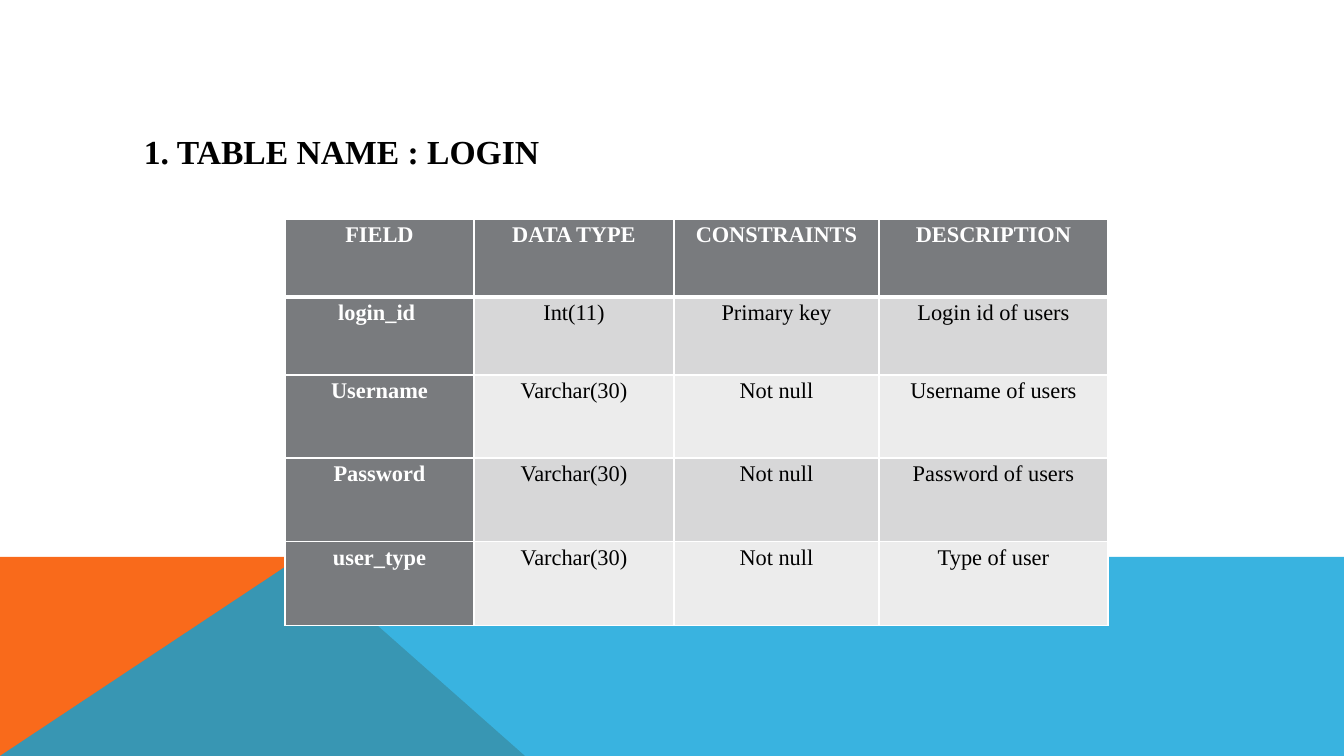
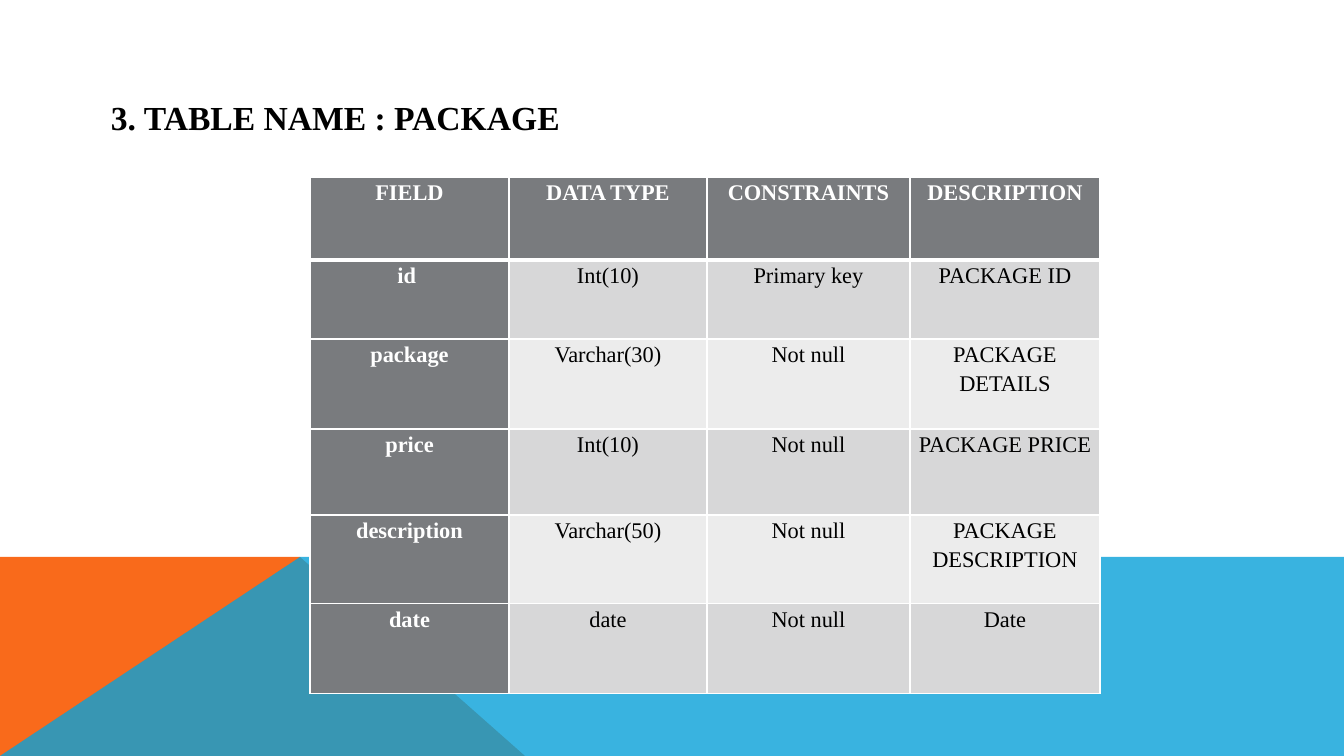
from dataclasses import dataclass

from lxml import etree
from pptx import Presentation
from pptx.dml.color import RGBColor
from pptx.enum.text import MSO_ANCHOR, MSO_AUTO_SIZE, PP_ALIGN
from pptx.oxml.ns import qn
from pptx.slide import Slide
from pptx.util import Pt

PX = 12192000 / 1344
CENTER = PP_ALIGN.CENTER
MIDDLE = MSO_ANCHOR.MIDDLE
GROW = MSO_AUTO_SIZE.SHAPE_TO_FIT_TEXT


@dataclass(frozen=True)
class Theme:
    font: str = "Times New Roman"
    title_size: int = 24
    cell_size: int = 16
    line_spacing: float = 1.15
    text: str = "000000"
    white: str = "FFFFFF"
    heading_fill: str = "797B7E"
    row_fills: tuple[str, str] = ("D7D7D8", "ECECEC")
    rule: int = 1
    header_rule: int = 3


THEME = Theme()


@dataclass(frozen=True)
class Band:
    points: tuple[tuple[int, int], ...]
    color: str
    opacity: int


BANDS = (
    Band(((0, 756), (0, 557), (300, 557), (525, 756)), "F96A1B", 100),
    Band(((0, 756), (300, 557), (1344, 557), (1344, 756)), "08A1D9", 80),
)

HEADER = ("FIELD", "DATA TYPE", "CONSTRAINTS", "DESCRIPTION")


@dataclass(frozen=True)
class TableSlide:
    title: str
    title_box: tuple[int, int, int, int]
    origin: tuple[int, int]
    widths: tuple[int, ...]
    heights: tuple[int, ...]
    rows: tuple[tuple[str, ...], ...]


TABLE_SLIDES = (
    TableSlide(
        "1. TABLE NAME : LOGIN", (134, 126, 419, 50), (285, 219),
        (189, 200, 205, 229), (78, 78, 83, 84, 84),
        (
            ("login_id ", "Int(11)", "Primary key", "Login id of users"),
            ("Username", "Varchar(30)", "Not null", "Username of users"),
            ("Password", "Varchar(30)", "Not null", "Password of users"),
            ("user_type", "Varchar(30)", "Not null", "Type of user"),
        ),
    ),
    TableSlide(
        "3. TABLE NAME : PACKAGE", (101, 92, 474, 50), (310, 177),
        (199, 198, 203, 190), (83, 79, 90, 86, 89, 90),
        (
            ("id ", "Int(10)", "Primary key", "PACKAGE ID"),
            ("package", "Varchar(30)", "Not null", "PACKAGE DETAILS"),
            ("price", "Int(10)", "Not null", "PACKAGE PRICE"),
            ("description", "Varchar(50)", "Not null", "PACKAGE DESCRIPTION"),
            ("date", "date", "Not null", "Date"),
        ),
    ),
)


def px(n: int) -> int:
    return round(n * PX)


def rgb(color: str) -> RGBColor:
    return RGBColor.from_string(color)


def add_run(p, text: str, size: int, color: str, bold: bool) -> None:
    r = p.add_run()
    r.text = text
    r.font.name = THEME.font
    r.font.size = Pt(size)
    r.font.bold = bold
    r.font.color.rgb = rgb(color)


def add_band(s: Slide, band: Band) -> None:
    builder = s.shapes.build_freeform(*band.points[0], scale=PX)
    builder.add_line_segments(band.points[1:], close=True)
    sp = builder.convert_to_shape()
    sp.shadow.inherit = False
    sp.line.fill.background()
    sp.fill.solid()
    sp.fill.fore_color.rgb = rgb(band.color)
    if band.opacity < 100:
        color = sp.fill._xPr.find(f"{qn('a:solidFill')}/{qn('a:srgbClr')}")
        etree.SubElement(color, qn("a:alpha"), val=str(band.opacity * 1000))


def add_title(s: Slide, text: str, box: tuple[int, int, int, int]) -> None:
    tf = s.shapes.add_textbox(*map(px, box)).text_frame
    tf.word_wrap = False
    tf.auto_size = GROW
    tf.vertical_anchor = MIDDLE
    add_run(tf.paragraphs[0], text, THEME.title_size, THEME.text, True)


def set_borders(cell, top: int, bottom: int) -> None:
    """Draw the four cell edges; must run before the cell gets its fill."""
    tc_pr = cell._tc.get_or_add_tcPr()
    edges = {"L": THEME.rule, "R": THEME.rule, "T": top, "B": bottom}
    for edge, width in edges.items():
        ln = etree.SubElement(tc_pr, qn(f"a:ln{edge}"), w=str(Pt(width)))
        fill = etree.SubElement(ln, qn("a:solidFill"))
        etree.SubElement(fill, qn("a:srgbClr"), val=THEME.white)


def fill_cell(cell, text: str, row: int, col: int) -> None:
    heading = row == 0 or col == 0
    set_borders(
        cell,
        THEME.header_rule if row == 1 else THEME.rule,
        THEME.header_rule if row == 0 else THEME.rule,
    )
    cell.fill.solid()
    cell.fill.fore_color.rgb = rgb(
        THEME.heading_fill if heading else THEME.row_fills[(row - 1) % 2])
    cell.margin_left = cell.margin_right = px(7)
    cell.margin_top = cell.margin_bottom = 0
    p = cell.text_frame.paragraphs[0]
    p.alignment = CENTER
    p.line_spacing = THEME.line_spacing
    add_run(p, text, THEME.cell_size,
            THEME.white if heading else THEME.text, heading)


def add_field_table(s: Slide, spec: TableSlide) -> None:
    rows = (HEADER, *spec.rows)
    table = s.shapes.add_table(
        len(rows), len(HEADER), *map(px, spec.origin),
        px(sum(spec.widths)), px(sum(spec.heights))).table
    table.first_col = True
    for column, width in zip(table.columns, spec.widths):
        column.width = px(width)
    for i, (height, texts) in enumerate(zip(spec.heights, rows)):
        table.rows[i].height = px(height)
        for j, text in enumerate(texts):
            fill_cell(table.cell(i, j), text, i, j)


def main() -> None:
    prs = Presentation()
    prs.slide_width, prs.slide_height = px(1344), px(756)
    blank = prs.slide_layouts[6]
    for spec in TABLE_SLIDES:
        s = prs.slides.add_slide(blank)
        for band in BANDS:
            add_band(s, band)
        add_field_table(s, spec)
        add_title(s, spec.title, spec.title_box)
    prs.save("out.pptx")


if __name__ == "__main__":
    main()
